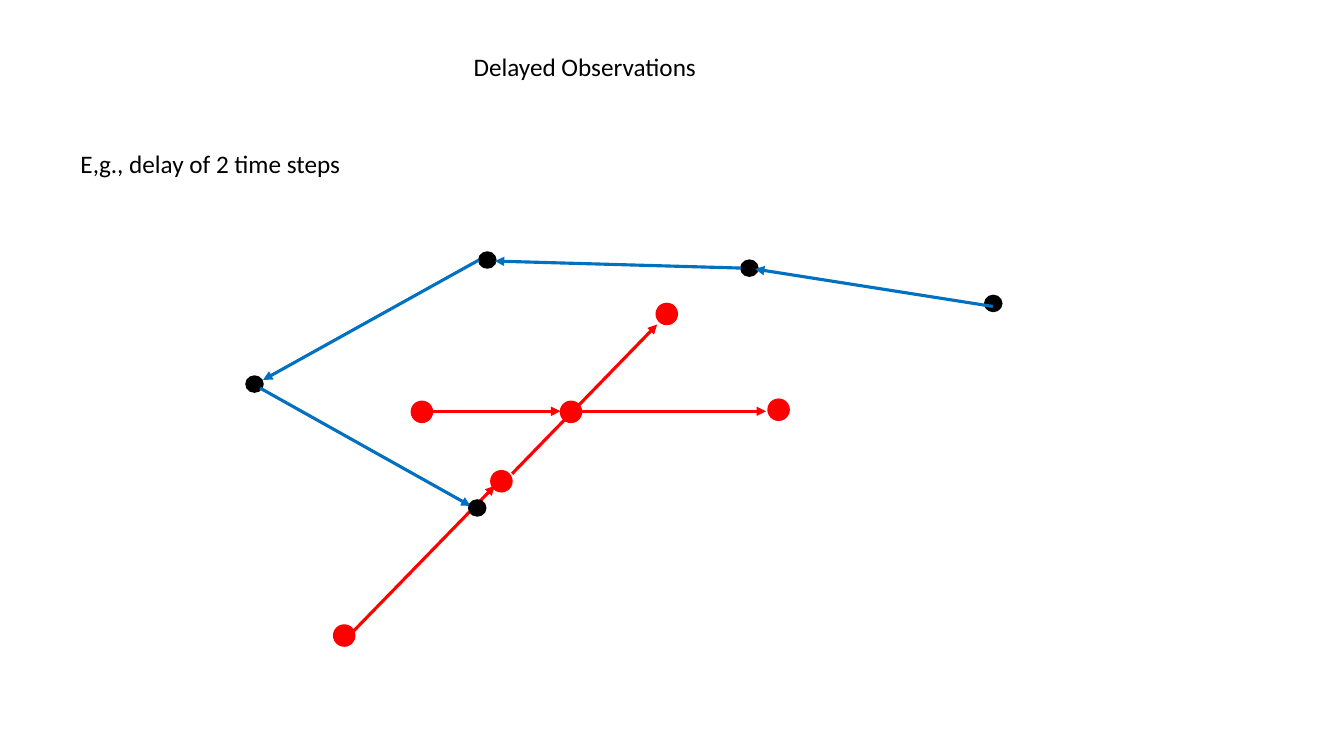
from lxml import etree
from pptx import Presentation
from pptx.dml.color import RGBColor
from pptx.enum import shapes, text
from pptx.oxml import ns
from pptx.util import Pt

BLACK = RGBColor(0x00, 0x00, 0x00)
BLUE = RGBColor(0x00, 0x70, 0xC0)
RED = RGBColor(0xFF, 0x00, 0x00)

LABEL_FONT = {"name": "Calibri", "size": Pt(18)}
LABEL_FRAME = {"word_wrap": False, "auto_size": text.MSO_AUTO_SIZE.SHAPE_TO_FIT_TEXT}

STATE_SIZE = (12.24, 11.52)
OBSERVATION_SIZE = (15.12, 15.12)

STATES = [(703.4, 211), (529.2, 185.8), (342, 180), (175.7, 268.6)]
LAST_STATE = (334.8, 357.1)
OBSERVATIONS = [
    (293.8, 286.6), (400.3, 286.6), (548.6, 285.1),
    (238.3, 446.4), (350.6, 336.2), (468.7, 216.7),
]
STATE_STEPS = [
    ((709.2, 218.9), (539.3, 192.2)),
    ((529.2, 191.5), (353.5, 186.5)),
    ((342, 185.8), (187.9, 271.4)),
    ((185.8, 277.2), (336.2, 361.4)),
]
OBSERVATION_STEPS = [
    ((308.9, 293.8), (400.3, 293.8)),
    ((415.4, 293.8), (547.2, 293.8)),
    ((249.8, 453.6), (353.5, 347)),
    ((365.8, 338.4), (469.4, 231.8)),
]


def apply_format(target, values):
    for attribute, value in values.items():
        setattr(target, attribute, value)


def add_label(slide, wording, left, top, width):
    label = slide.shapes.add_textbox(Pt(left), Pt(top), Pt(width), Pt(28.8))
    apply_format(label.text_frame, LABEL_FRAME)
    run = label.text_frame.paragraphs[0].add_run()
    run.text = wording
    apply_format(run.font, LABEL_FONT)
    run.font.color.rgb = BLACK


def add_dot(slide, corner, size, color):
    dot = slide.shapes.add_shape(
        shapes.MSO_SHAPE.OVAL, *(Pt(length) for length in corner + size))
    dot.shadow.inherit = False
    dot.fill.solid()
    dot.fill.fore_color.rgb = color
    dot.line.color.rgb = color
    dot.line.width = Pt(1)


def add_step(slide, start, end, color):
    step = slide.shapes.add_connector(
        shapes.MSO_CONNECTOR.STRAIGHT, *(Pt(length) for length in start + end))
    step.line.color.rgb = color
    step.line.width = Pt(2.25)
    properties = step._element.spPr
    outline = properties.find(ns.qn("a:ln"))
    etree.SubElement(outline, ns.qn("a:tailEnd"), type="triangle")
    etree.SubElement(properties, ns.qn("a:effectLst"))


def main():
    deck = Presentation()
    apply_format(deck, {"slide_width": Pt(960), "slide_height": Pt(540)})
    slide = deck.slides.add_slide(deck.slide_layouts[6])

    add_label(slide, "Delayed Observations", 331.2, 33.1, 175)
    add_label(slide, "E,g., delay of 2 time steps", 50.4, 102.2, 202.3)

    for corner in STATES:
        add_dot(slide, corner, STATE_SIZE, BLACK)
    for steps, color in ((STATE_STEPS, BLUE), (OBSERVATION_STEPS, RED)):
        for start, end in steps:
            add_step(slide, start, end, color)
    for corner in OBSERVATIONS:
        add_dot(slide, corner, OBSERVATION_SIZE, RED)
    add_dot(slide, LAST_STATE, STATE_SIZE, BLACK)

    deck.save("out.pptx")


if __name__ == "__main__":
    main()
